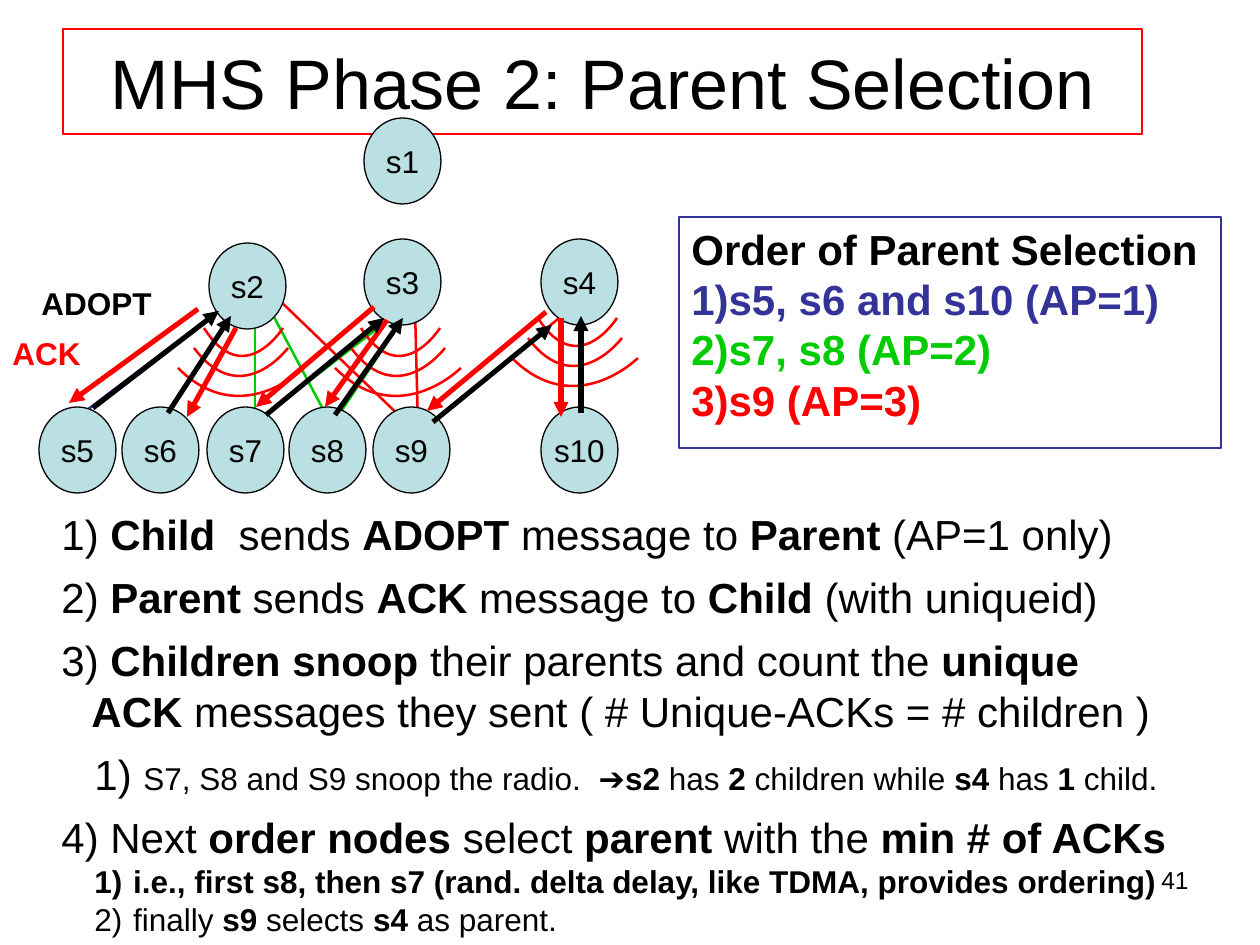
import pptx
import pptx.util
import pptx.dml.color
import pptx.enum.shapes
import pptx.enum.text
import pptx.oxml
import pptx.oxml.ns

KIND = pptx.enum.shapes.MSO_SHAPE
ALIGN = pptx.enum.text.PP_ALIGN
ANCHOR = pptx.enum.text.MSO_ANCHOR
NS = pptx.oxml.ns
BLACK, RED, GREEN, BLUE, NAVY, PALE = (
    "000000", "FF0000", "00CC00", "333399", "2D2D8A", "BBE0E3")
THIN, MID, THICK = 0.75, 1.45, 2.89


def emu(px):
    return round(px * 914400 / 126)


def rgb(code):
    return pptx.dml.color.RGBColor.from_string(code)


def add(parent, tag, **attrs):
    node = pptx.oxml.parse_xml(f"<{tag} {NS.nsdecls('a')}/>")
    for key, value in attrs.items():
        node.set(key, value)
    parent.append(node)
    return node


class Deck:
    font = "Arial"
    hang = 30      # px that numbers hang to the left of their text

    def __init__(self):
        self.prs = pptx.Presentation()
        self.prs.slide_width, self.prs.slide_height = emu(1260), emu(945)
        self.slide = self.prs.slides.add_slide(self.prs.slide_layouts[6])

    def number(self, para, margin, color):
        props = para._p.get_or_add_pPr()
        props.set("marL", str(emu(margin)))
        props.set("indent", str(-emu(self.hang)))
        add(add(props, "a:buClr"), "a:srgbClr", val=color)
        add(props, "a:buAutoNum", type="arabicParenR")

    def runs(self, para, marked, size, color=BLACK):
        """Words between asterisks are bold."""
        for i, part in enumerate(marked.split("*")):
            if part:
                run = para.add_run()
                run.text = part
                run.font.name = self.font
                run.font.size = pptx.util.Pt(size)
                run.font.bold = i % 2 == 1
                run.font.color.rgb = rgb(color)

    def para(self, frame, first, align=ALIGN.LEFT):
        para = frame.paragraphs[0] if first else frame.add_paragraph()
        para.alignment = align
        return para

    def frame(self, shape, anchor=ANCHOR.TOP, wrap=True):
        frame = shape.text_frame
        frame.word_wrap = wrap
        frame.vertical_anchor = anchor
        return frame

    def shape(self, kind, box, line, fill=None):
        shape = self.slide.shapes.add_shape(kind, *map(emu, box))
        shape.shadow.inherit = False
        self.paint(shape, line, THIN, fill)
        return shape

    def paint(self, shape, line, width, fill=None):
        if fill:
            shape.fill.solid()
            shape.fill.fore_color.rgb = rgb(fill)
        else:
            shape.fill.background()
        shape.line.color.rgb = rgb(line)
        shape.line.width = pptx.util.Pt(width)

    def text(self, box):
        return self.frame(self.slide.shapes.add_textbox(*map(emu, box)))

    def label(self, box, words, size, color=BLACK, align=ALIGN.LEFT):
        para = self.para(self.text(box), True, align)
        self.runs(para, words, size, color)

    def title(self, box, words):
        frame = self.frame(self.shape(KIND.RECTANGLE, box, RED), ANCHOR.MIDDLE)
        self.runs(self.para(frame, True, ALIGN.CENTER), words, 40)

    def node(self, name, x, y):
        oval = self.shape(KIND.OVAL, (x, y, 77, 86), BLACK, PALE)
        frame = self.frame(oval, ANCHOR.MIDDLE, False)
        self.runs(self.para(frame, True, ALIGN.CENTER), name, 18)

    def line(self, ends, color, width=MID, arrow=False):
        line = self.slide.shapes.add_connector(
            pptx.enum.shapes.MSO_CONNECTOR.STRAIGHT, *map(emu, ends))
        line.line.color.rgb = rgb(color)
        line.line.width = pptx.util.Pt(width)
        props = line._element.spPr
        if arrow:
            add(props.find(NS.qn("a:ln")), "a:tailEnd", type="triangle")
        add(props, "a:effectLst")

    def arc(self, shapes, x, y, wide):
        """A sagging curve: its corner points become Bezier handles."""
        low, end = (emu(x + wide / 2), emu(y + 63)), (emu(x + wide), emu(y))
        path = shapes.build_freeform(emu(x), emu(y), scale=1.0)
        path.add_line_segments((low, end, end), close=False)
        arc = path.convert_to_shape()
        arc.shadow.inherit = False
        self.paint(arc, RED, MID)
        outline = next(arc._element.iter(NS.qn("a:path")))
        curve = add(outline, "a:cubicBezTo")
        for step in outline.findall(NS.qn("a:lnTo")):
            curve.append(step[0])
            outline.remove(step)

    def waves(self, x, y):
        group = self.slide.shapes.add_group_shape()
        for dx, dy, wide in ((0, 0, 79), (-10, 20, 94), (-26, 40, 126)):
            self.arc(group.shapes, x + dx, y + dy, wide)


def main():
    deck = Deck()

    # Page number and title
    deck.label((907, 859, 294, 66), "41", 14, align=ALIGN.RIGHT)
    deck.title((63, 29, 1079, 105), "MHS Phase 2: Parent Selection")

    # Numbered steps: level, space before, then (size, words) pieces
    steps = (
        (0, 0, ((24, " *Child*  sends *ADOPT* message to *Parent* (AP=1 only)"),)),
        (0, 7.3, ((24, " *Parent* sends *ACK* message to *Child* (with uniqueid)"),)),
        (0, 7.3, ((24, " *Children snoop* their parents and count the *unique ACK *"
                       "messages they sent ( # Unique-ACKs = # children )"),)),
        (1, 7.3, ((24, " "),
                  (18, "S7, S8 and S9 snoop the radio.  ➔*s2* has* 2 *children "
                       "while *s4* has *1* child."))),
        (0, 7.3, ((24, " Next *order nodes *select *parent* with the "
                       "*min # of ACKs*"),)),
        (1, 0, ((18, "* i.e., first s8, then s7 (rand. delta delay, like TDMA, "
                     "provides ordering)*"),)),
        (1, 0, ((18, " finally *s9 *selects *s4* as parent."),)),
    )
    frame = deck.text((49, 502, 1142, 296))
    for i, (level, before, pieces) in enumerate(steps):
        para = deck.para(frame, i == 0)
        para.level = level
        para.space_before = pptx.util.Pt(before)
        deck.number(para, 63 if level else deck.hang, BLACK)
        for size, words in pieces:
            deck.runs(para, words, size)

    # Radio links
    links = (
        (NAVY, (66, 426, 223, 307)), (NAVY, (170, 411, 233, 314)),
        (GREEN, (255, 415, 255, 312)), (GREEN, (265, 415, 391, 318)),
        (GREEN, (338, 416, 411, 307)), (GREEN, (324, 411, 266, 302)),
        (RED, (418, 426, 415, 307)), (RED, (427, 426, 585, 297)),
        (RED, (410, 426, 276, 297)), (NAVY, (582, 447, 582, 287)),
    )
    for color, ends in links:
        deck.line(ends, color)

    # Sensor nodes
    nodes = {"s1": (364, 118), "s2": (209, 243), "s3": (364, 239),
             "s4": (541, 239)}
    leaves = {"s5": 39, "s6": 122, "s7": 207, "s8": 289, "s9": 373, "s10": 541}
    nodes.update((name, (x, 407)) for name, x in leaves.items())
    for name, spot in nodes.items():
        deck.node(name, *spot)

    # Selection order
    box = deck.shape(KIND.RECTANGLE, (679, 217, 542, 231), BLUE)
    frame = deck.frame(box)
    deck.runs(deck.para(frame, True), "*Order of Parent Selection*", 24)
    for words, color in (("s5, s6 and s10 (AP=1)", BLUE),
                         ("s7, s8 (AP=2)", GREEN), ("s9 (AP=3)", RED)):
        para = deck.para(frame, False)
        deck.number(para, deck.hang, color)
        deck.runs(para, f"*{words}*", 24, color)

    # Message labels
    deck.label((29, 278, 147, 50), "*ADOPT*", 18)
    deck.label((0, 328, 147, 50), "*ACK*", 18, RED)

    # Radio waves below the parents
    for spot in ((204, 328), (538, 318), (361, 328)):
        deck.waves(*spot)

    # Each child's ADOPT arrow, then the ACK that answers it
    pairs = (
        ((93, 408, 219, 311), (198, 309, 69, 403)),    # s5
        ((168, 413, 231, 316), (236, 328, 187, 417)),  # s6
        ((581, 413, 581, 316), (561, 318, 561, 417)),  # s10
        ((335, 415, 403, 318), (387, 320, 325, 407)),  # s8
        ((266, 415, 384, 318), (374, 307, 256, 407)),  # s7
        ((433, 422, 552, 325), (546, 312, 427, 411)),  # s9
    )
    for adopt, ack in pairs:
        deck.line(adopt, BLACK, THICK, True)
        deck.line(ack, RED, THICK, True)

    deck.prs.save("out.pptx")


if __name__ == "__main__":
    main()
